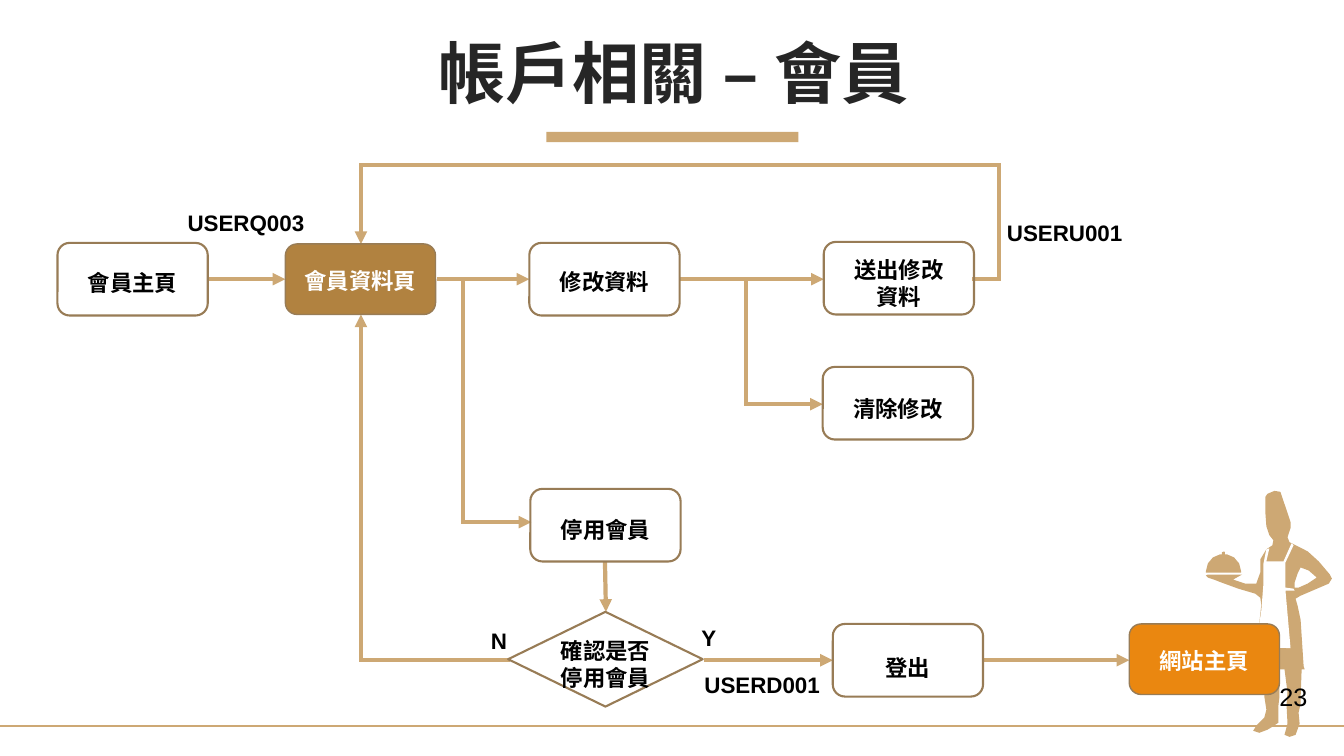
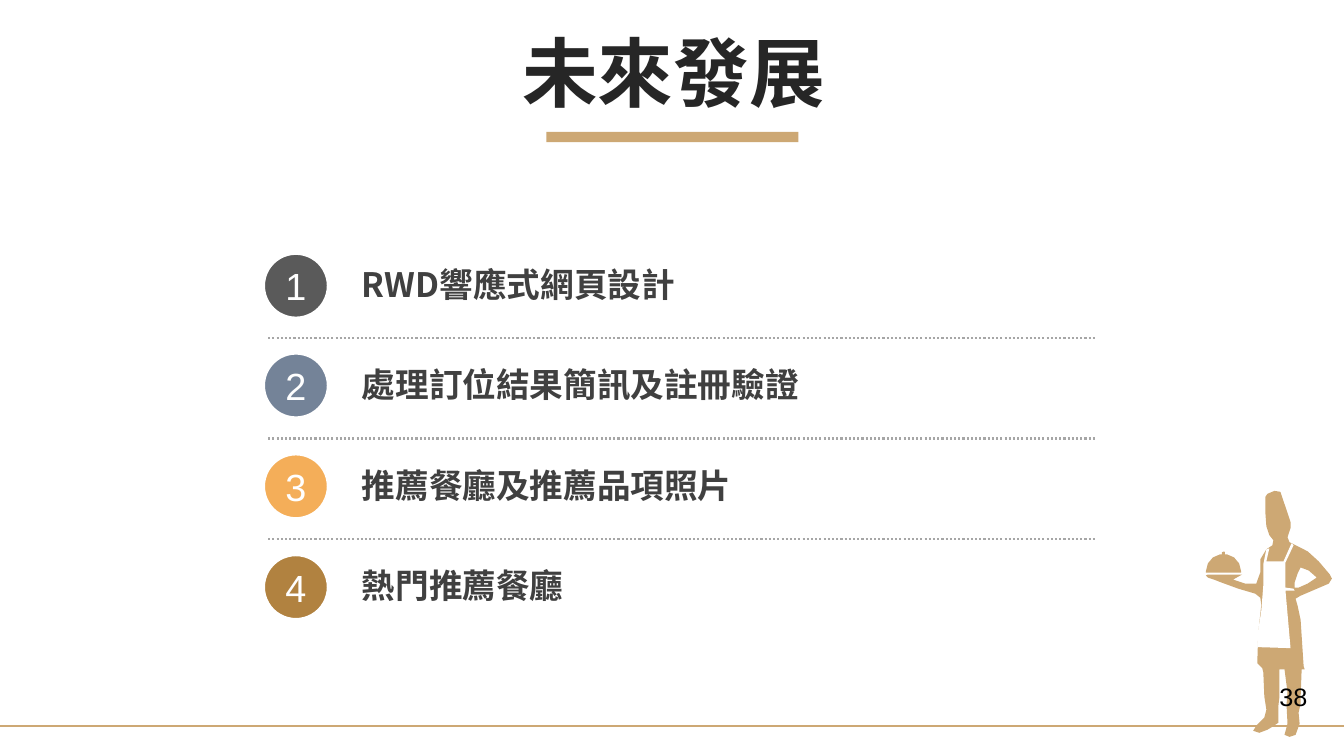
from dataclasses import dataclass
from typing import Optional

from pptx import Presentation
from pptx.dml.color import RGBColor as Rgb
from pptx.enum.dml import MSO_LINE as Dash
from pptx.enum.shapes import MSO_CONNECTOR as Link, MSO_SHAPE as Form
from pptx.enum.text import MSO_ANCHOR as Anchor, PP_ALIGN as Align
from pptx.oxml.ns import qn
from pptx.util import Pt
from lxml.etree import SubElement

PX = 9144


@dataclass(frozen=True)
class Theme:
    """Colours, fonts and type sizes."""
    sand: str = "CDA874"
    brown: str = "B18240"
    edge: str = "987C56"
    orange: str = "EA8710"
    white: str = "FFFFFF"
    black: str = "000000"
    title: str = "262626"
    body: str = "404040"
    dots: str = "A6A6A6"
    rings: tuple = ("5A5A5A", "748398", "F4AE59", "B18240")
    cjk: str = "Noto Sans CJK SC"
    latin: str = "Arial"
    node: int = 16
    page: int = 18
    item: int = 24
    ring: int = 27


@dataclass(frozen=True)
class Style:
    """Look of a paragraph."""
    size: int
    color: str
    font: str
    bold: bool = True
    align: Align = Align.CENTER


@dataclass(frozen=True)
class Node:
    """Step of the flow chart."""
    text: str
    x: int
    y: int
    drop: int = 3
    w: int = 149
    h: int = 72
    form: Form = Form.ROUNDED_RECTANGLE
    fill: Optional[str] = None
    line: float = 1.5


@dataclass(frozen=True)
class Label:
    """Caption beside an arrow."""
    text: str
    x: int
    y: int
    w: int = 136


T = Theme()

NODES = (
    Node("會員資料頁", 283, 242, 1, h=70, fill=T.brown, line=1),
    Node("送出修改\n資料", 817, 240, 5),
    Node("清除修改", 816, 364, 5),
    Node("修改資料", 525, 241, 2),
    Node("網站主頁", 1120, 619, 1, h=70, fill=T.orange, line=1),
    Node("確認是否\n停用會員", 504, 607, 5, 193, 94, Form.FLOWCHART_DECISION),
    Node("會員主頁", 57, 241, 3),
    Node("停用會員", 526, 485, 4),
    Node("登出", 826, 619, 7),
)

ROUTES = (
    ((433, 277), (525, 277)),
    ((966, 277), (991, 277), (991, 164), (358, 164), (358, 242)),
    ((206, 277), (283, 277)),
    ((674, 277), (817, 277)),
    ((698, 655), (826, 655)),
    ((504, 655), (358, 655), (358, 312)),
    ((459, 277), (459, 518), (527, 518)),
    ((975, 655), (1120, 655)),
    ((600, 557), (601, 607)),
    ((740, 277), (740, 401), (816, 401)),
)

LABELS = (
    Label("USERU001", 988, 212),
    Label("USERQ003", 176, 203),
    Label("USERD001", 688, 661),
    Label("Y", 678, 614, 50),
    Label("N", 470, 617, 50),
)

ITEMS = ("RWD響應式網頁設計", "處理訂位結果簡訊及註冊驗證",
         "推薦餐廳及推薦品項照片", "熱門推薦餐廳")

BODY = (
    (1198, 570), (1232, 570), (1223, 575), (1235, 579), (1246, 579),
    (1250, 568), (1250, 555), (1256, 545), (1262, 541), (1263, 536),
    (1259, 531), (1256, 522), (1255, 508), (1255, 493), (1257, 490),
    (1264, 487), (1270, 488), (1273, 497), (1276, 506), (1280, 518),
    (1280, 524), (1277, 533), (1279, 538), (1285, 541), (1297, 547),
    (1308, 557), (1319, 570), (1321, 574), (1318, 579), (1304, 585),
    (1290, 591), (1285, 594), (1287, 601), (1290, 615), (1293, 661),
    (1294, 664), (1291, 664), (1290, 692), (1290, 698), (1288, 707),
    (1289, 718), (1285, 729), (1279, 731), (1274, 729), (1277, 718),
    (1276, 699), (1277, 687), (1274, 664), (1269, 664), (1269, 691),
    (1268, 700), (1268, 713), (1268, 717), (1262, 721), (1257, 724),
    (1249, 727), (1243, 725), (1246, 720), (1254, 712), (1256, 704),
    (1254, 691), (1253, 667), (1252, 663), (1247, 658), (1248, 628),
    (1251, 600), (1250, 593), (1245, 589), (1228, 584), (1209, 577),
    (1204, 575), (1198, 573), (1196, 571),
)
ELBOW = ((1284, 583), (1288, 583), (1297, 579), (1306, 573), (1298, 566),
         (1290, 563), (1287, 569), (1284, 578))
APRON = ((1281, 539), (1273, 557), (1256, 557), (1259, 544), (1256, 545),
         (1253, 560), (1253, 581), (1251, 606), (1248, 625), (1247, 642),
         (1280, 643), (1275, 586), (1284, 586), (1283, 584), (1275, 583),
         (1275, 558), (1283, 541))
DOME = ((1214, 547), (1212, 548), (1212, 550), (1210, 550), (1203, 553),
        (1198, 559), (1196, 567), (1196, 568), (1231, 568), (1231, 567),
        (1229, 559), (1224, 553), (1217, 550), (1215, 550), (1215, 548))


def paint(shape, fill: Optional[str], line: Optional[str] = None,
          width: float = 1) -> None:
    """Set fill and outline, without a shadow."""
    shape.shadow.inherit = False
    if fill:
        shape.fill.solid()
        shape.fill.fore_color.rgb = Rgb.from_string(fill)
    else:
        shape.fill.background()
    if line:
        shape.line.color.rgb = Rgb.from_string(line)
        shape.line.width = Pt(width)
    else:
        shape.line.fill.background()


def write(frame, text: str, style: Style) -> None:
    """Fill a text frame in one style."""
    frame.text = text
    for para in frame.paragraphs:
        para.alignment = style.align
        font = para.font
        font.size, font.bold, font.name = Pt(style.size), style.bold, style.font
        font.color.rgb = Rgb.from_string(style.color)
        base = para._p.get_or_add_pPr().get_or_add_defRPr()
        SubElement(base, qn("a:ea"), typeface=style.font)


def shape(slide, form: Form, x: int, y: int, w: int, h: int):
    """Add a preset shape."""
    return slide.shapes.add_shape(form, x * PX, y * PX, w * PX, h * PX)


def label(slide, text: str, x: int, y: int, w: int, h: int, style: Style,
          wrap: bool = False):
    """Add a text box and return its frame."""
    frame = slide.shapes.add_textbox(x * PX, y * PX, w * PX, h * PX).text_frame
    frame.word_wrap = wrap
    write(frame, text, style)
    return frame


def line(slide, start: tuple, end: tuple, color: str, width: float):
    """Add a straight line."""
    link = slide.shapes.add_connector(
        Link.STRAIGHT, *(n * PX for n in (*start, *end)))
    link.line.color.rgb = Rgb.from_string(color)
    link.line.width = Pt(width)
    SubElement(link._element.spPr, qn("a:effectLst"))
    return link


def route(slide, points: tuple) -> None:
    """Draw an arrow along the points."""
    for start, end in zip(points, points[1:]):
        link = line(slide, start, end, T.sand, 3)
        ln = link._element.spPr.find(qn("a:ln"))
        ln.set("cap", "sq" if len(points) > 2 else "flat")
        if end == points[-1]:
            SubElement(ln, qn("a:tailEnd"), type="triangle")


def outline(slide, fill: str, *rings: tuple) -> None:
    """Draw a filled outline from closed rings."""
    first, *rest = rings
    pen = slide.shapes.build_freeform(*first[0], scale=PX)
    pen.add_line_segments(first[1:], close=True)
    for ring in rest:
        pen.move_to(*ring[0])
        pen.add_line_segments(ring[1:], close=True)
    paint(pen.convert_to_shape(), fill)


def start(deck, title: str, size: int):
    """Add a slide with the shared band, waiter and title."""
    slide = deck.slides.add_slide(deck.slide_layouts[6])
    paint(shape(slide, Form.RECTANGLE, 542, 131, 250, 10), T.sand)
    line(slide, (0, 720), (1333, 720), T.sand, 1.5)
    outline(slide, T.sand, BODY, ELBOW)
    outline(slide, T.white, APRON)
    outline(slide, T.sand, DOME)
    frame = label(slide, title, 35, 37, 1266, 79,
                  Style(size, T.title, T.cjk), True)
    frame.vertical_anchor = Anchor.MIDDLE
    para = frame.paragraphs[0]
    para.line_spacing, para.space_before = 0.9, Pt(10)
    return slide


def number(slide, text: str) -> None:
    """Add the page number."""
    label(slide, text, 1259, 671, 48, 40,
          Style(T.page, T.black, T.latin, False, Align.LEFT))


def step(slide, node: Node) -> None:
    """Draw one step of the flow."""
    box = shape(slide, node.form, node.x, node.y, node.w, node.h)
    paint(box, node.fill, T.edge, node.line)
    frame = box.text_frame
    frame.word_wrap = False
    frame.vertical_anchor = Anchor.MIDDLE
    frame.margin_left = frame.margin_right = frame.margin_bottom = 0
    frame.margin_top = 2 * node.drop * PX
    ink = T.white if node.fill else T.black
    write(frame, node.text, Style(T.node, ink, T.cjk))


def flow(deck) -> None:
    """Build the member account flow."""
    slide = start(deck, "帳戶相關 – 會員", 48)
    number(slide, "23")
    for points in ROUTES:
        route(slide, points)
    for node in NODES:
        step(slide, node)
    for tag in LABELS:
        label(slide, tag.text, tag.x, tag.y, tag.w, 37,
              Style(T.node, T.black, T.latin))


def plans(deck) -> None:
    """Build the list of future plans."""
    slide = start(deck, "未來發展", 54)
    for i, (text, color) in enumerate(zip(ITEMS, T.rings)):
        top = 252 + 299 * i // 3
        ring = shape(slide, Form.OVAL, 262, top, 63, 63)
        paint(ring, color, T.white, 1.25)
        ring.text_frame.vertical_anchor = Anchor.MIDDLE
        write(ring.text_frame, str(i + 1),
              Style(T.ring, T.white, T.latin, False))
        label(slide, text, 349, top + 5, 941, 50,
              Style(T.item, T.body, T.cjk, align=Align.LEFT), True)
        if i < len(ITEMS) - 1:
            y = 335 + 100 * i
            rule = line(slide, (266, y), (1088, y), T.dots, 1.5)
            rule.line.dash_style = Dash.ROUND_DOT
    number(slide, "38")


def main() -> None:
    """Build and save the deck."""
    deck = Presentation()
    deck.slide_width, deck.slide_height = 1333 * PX, 750 * PX
    flow(deck)
    plans(deck)
    deck.save("out.pptx")


if __name__ == "__main__":
    main()
